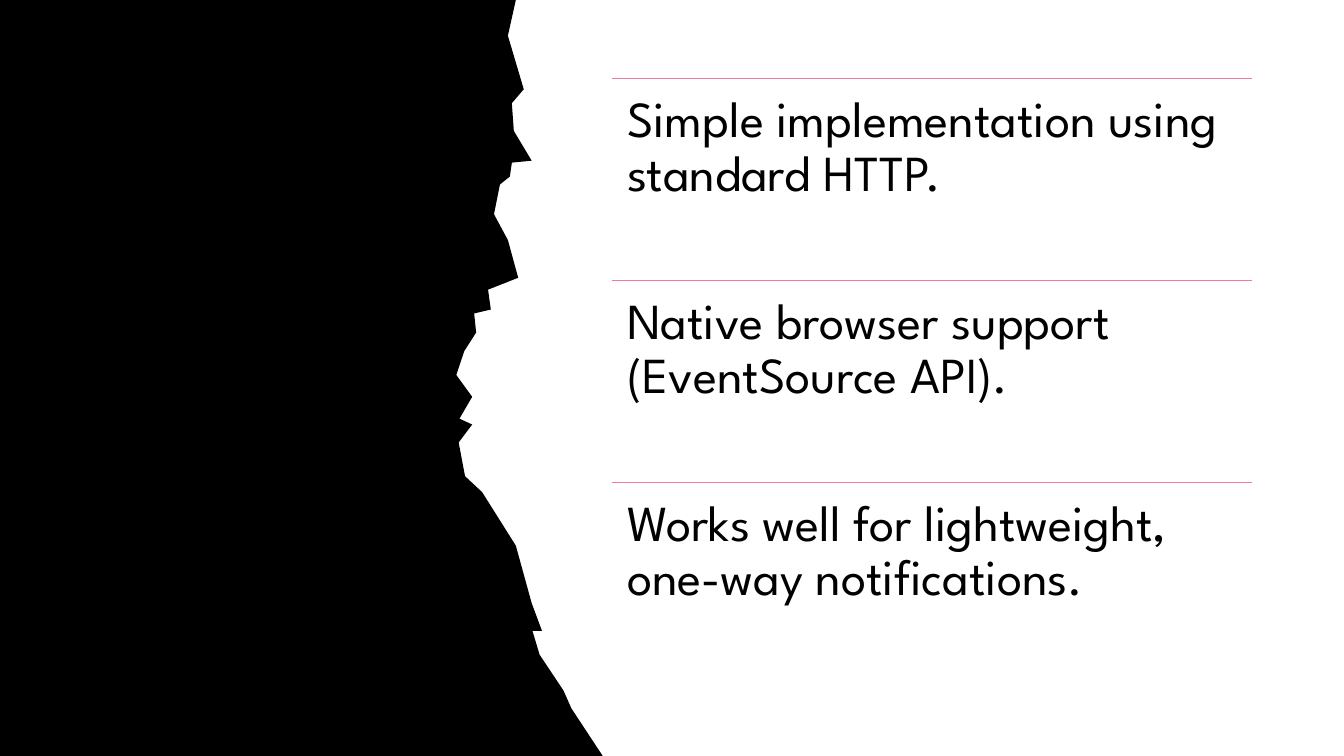
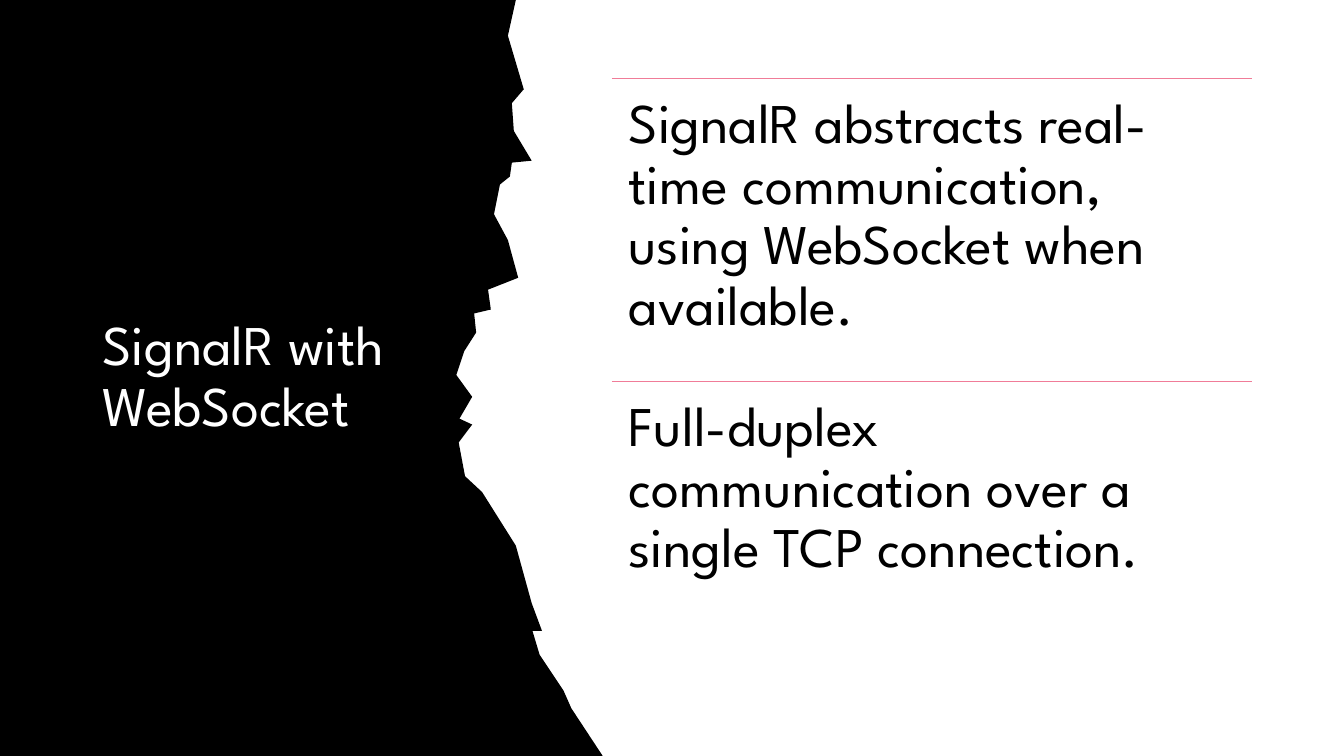
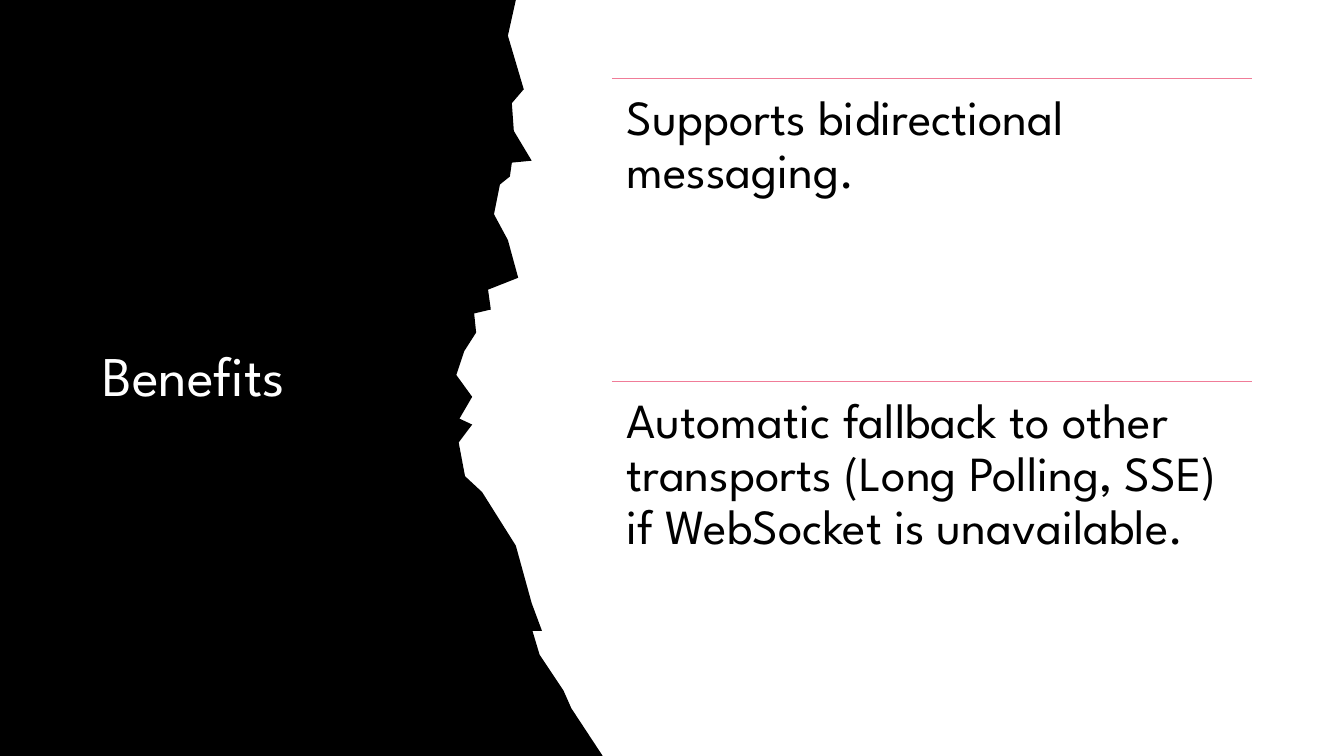
from dataclasses import dataclass

from pptx import Presentation
from pptx.dml.color import RGBColor
from pptx.enum.shapes import MSO_CONNECTOR as Connector
from pptx.enum.text import MSO_ANCHOR as Anchor, MSO_AUTO_SIZE as AutoSize, PP_ALIGN as Align
from pptx.oxml.xmlchemy import OxmlElement
from pptx.util import Cm, Pt

FONT = "League Spartan"
BLACK, WHITE, PINK = "000000", "FFFFFF", "F07C98"
TITLE_ONLY, BLANK = 5, 6
SLIDE_WIDTH, SLIDE_HEIGHT = 33.87, 19.05

# Area on the right that the points of a slide share equally
LEFT, TOP, WIDTH, HEIGHT = 15.42, 1.98, 16.13, 15.27
INSET_PER_PT = 0.0106  # text inset in cm for each point of type size

# Corners of the torn edge in cm, from top to bottom
TORN_EDGE = [
    (13, 0), (12.8, 0.9), (13.2, 2.25), (12.9, 2.6), (12.95, 3.3),
    (13.4, 4.05), (12.9, 4.1), (12.85, 4.45), (12.6, 4.65), (12.45, 5.4),
    (12.8, 6.05), (13.06, 7), (12.3, 7.3), (12.37, 7.8), (11.95, 7.9),
    (12, 8.38), (11.7, 8.85), (11.5, 9.45), (11.9, 10), (11.58, 10.55),
    (11.9, 10.7), (11.56, 11.15), (11.72, 12), (12.15, 12.4), (13, 13.75),
    (13.4, 15.2), (13.66, 15.9), (13.42, 15.9), (13.6, 16.5), (14.2, 17.4),
    (14.4, 17.85), (15.19, SLIDE_HEIGHT),
]


@dataclass
class PointsSlide:
    size: int
    points: list[str]
    title: str = ""


SLIDES = [
    PointsSlide(36, ["Simple implementation using standard HTTP.",
                     "Native browser support (EventSource API).",
                     "Works well for lightweight, one-way notifications."]),
    PointsSlide(40, ["SignalR abstracts real-time communication, using WebSocket when available.",
                     "Full-duplex communication over a single TCP connection."],
                "SignalR with WebSocket"),
    PointsSlide(35, ["Supports bidirectional messaging.",
                     "Automatic fallback to other transports (Long Polling, SSE) "
                     "if WebSocket is unavailable."],
                "Benefits"),
]


def rgb(color: str) -> RGBColor:
    return RGBColor.from_string(color)


def add_panel(s):
    corners = [*TORN_EDGE, (0, SLIDE_HEIGHT)]
    builder = s.shapes.build_freeform(0, 0, scale=1.0)
    builder.add_line_segments([(Cm(x), Cm(y)) for x, y in corners], close=True)
    sp = builder.convert_to_shape()
    sp.shadow.inherit = False
    sp.fill.solid()
    sp.fill.fore_color.rgb = rgb(BLACK)
    sp.line.fill.background()
    return sp


def set_text(tf, text: str, size: int, color: str) -> None:
    tf.text = text
    tf.word_wrap = True
    tf.auto_size = AutoSize.NONE
    p = tf.paragraphs[0]
    p.alignment = Align.LEFT
    p.line_spacing = 0.9
    p.font.name = FONT
    p.font.size = Pt(size)
    p.font.color.rgb = rgb(color)


def add_title(s, panel, text: str) -> None:
    title = s.shapes.title
    title.left, title.top, title.width, title.height = Cm(2.33), Cm(TOP), Cm(8.89), Cm(15.09)
    set_text(title.text_frame, text, 40, WHITE)
    title.text_frame.vertical_anchor = Anchor.MIDDLE
    title.element.addprevious(panel.element)  # panel goes behind the title


def add_point(s, text: str, top: float, height: float, size: int) -> None:
    # Rule above the text
    line = s.shapes.add_connector(Connector.STRAIGHT, Cm(LEFT), Cm(top), Cm(LEFT + WIDTH), Cm(top))
    line.line.color.rgb = rgb(PINK)
    line.line.width = Pt(1)
    line.element.spPr.append(OxmlElement("a:effectLst"))

    # Text
    tf = s.shapes.add_textbox(Cm(LEFT), Cm(top), Cm(WIDTH), Cm(height)).text_frame
    inset = Cm(size * INSET_PER_PT)
    tf.margin_left = tf.margin_top = tf.margin_right = tf.margin_bottom = inset
    set_text(tf, text, size, BLACK)


def add_slide(prs, content: PointsSlide) -> None:
    layout = TITLE_ONLY if content.title else BLANK
    s = prs.slides.add_slide(prs.slide_layouts[layout])
    panel = add_panel(s)
    if content.title:
        add_title(s, panel, content.title)
    row = HEIGHT / len(content.points)
    for i, text in enumerate(content.points):
        add_point(s, text, TOP + i * row, row, content.size)


def main() -> None:
    prs = Presentation()
    prs.slide_width, prs.slide_height = Cm(SLIDE_WIDTH), Cm(SLIDE_HEIGHT)
    for content in SLIDES:
        add_slide(prs, content)
    prs.save("out.pptx")


if __name__ == "__main__":
    main()
